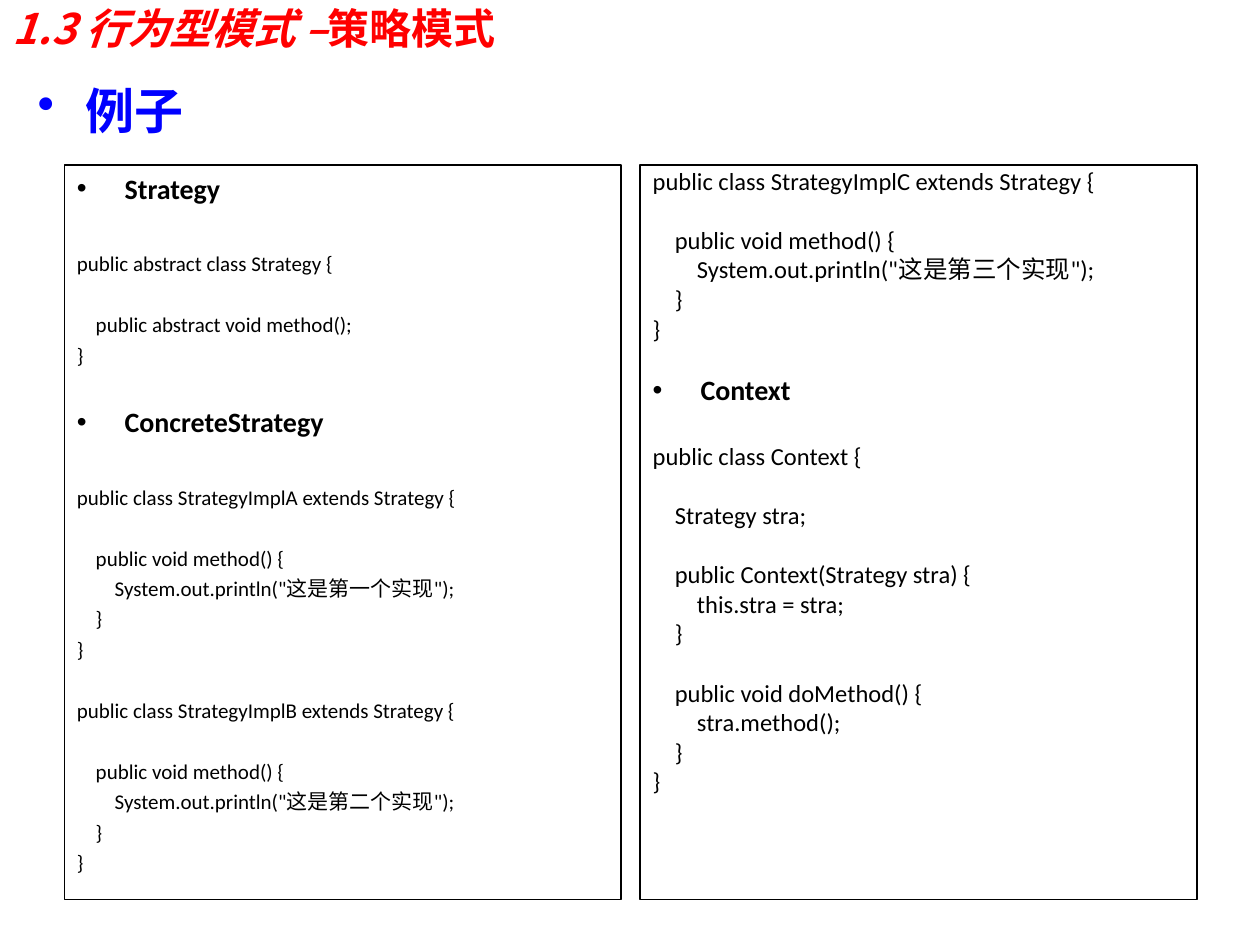
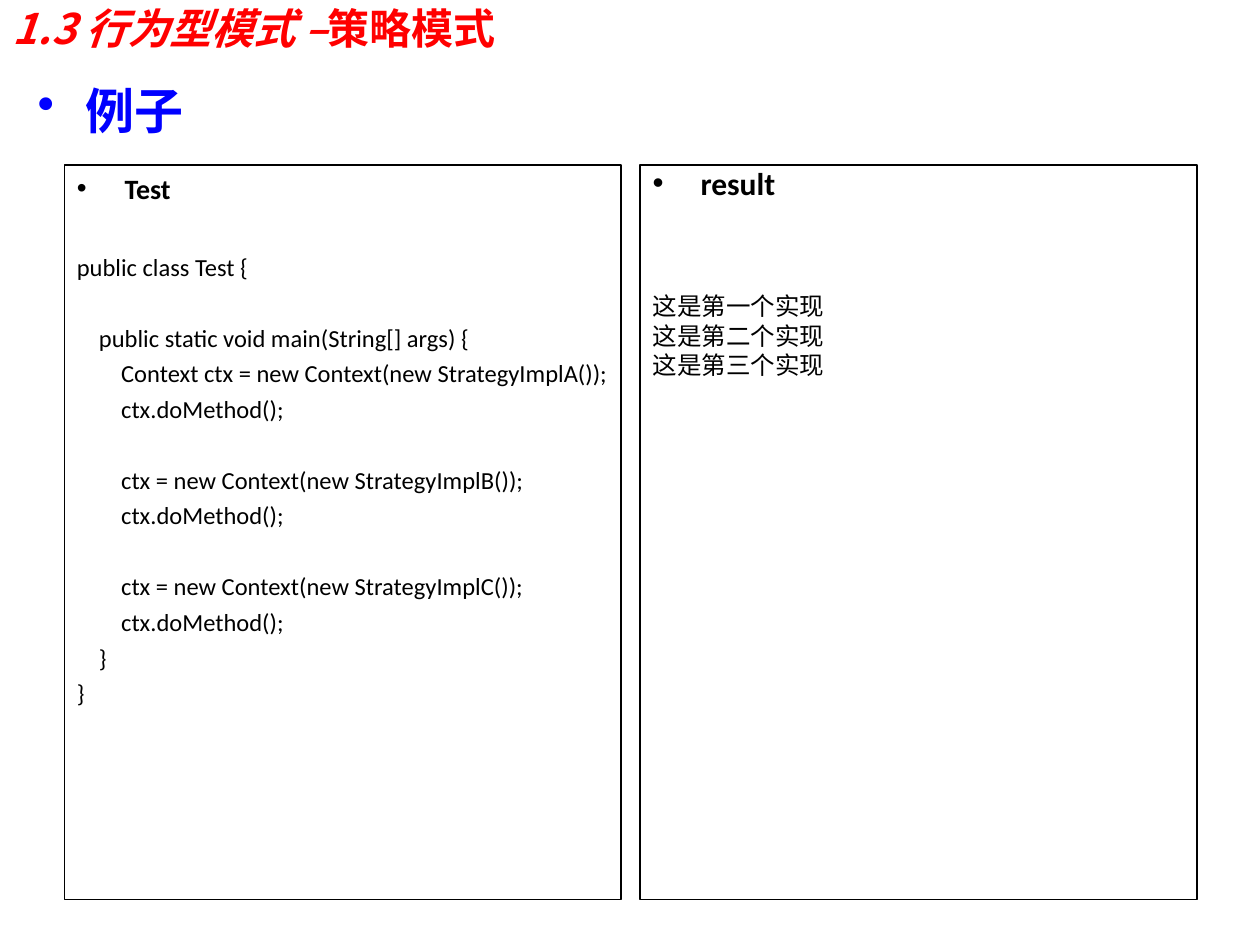
from dataclasses import dataclass

from lxml.etree import SubElement
from pptx import Presentation
from pptx.dml.color import RGBColor as Color
from pptx.enum.text import MSO_ANCHOR as Anchor, MSO_AUTO_SIZE as AutoSize, PP_ALIGN as Align
from pptx.oxml.ns import qn
from pptx.util import Pt

PX = 9144  # EMU in one px, 100 px to the inch


@dataclass(frozen=True)
class Theme:
    title_color: str = "FF0000"
    topic_color: str = "0000FF"
    text_color: str = "000000"
    font: str = "Calibri"
    cjk_font: str = "Noto Sans CJK SC"
    title_size: int = 24
    topic_size: int = 28
    heading_size: int = 16
    result_size: int = 18
    code_size: int = 14
    small_code_size: int = 12
    line_factor: float = 1.2
    before_factor: float = 0.25
    hanging: int = 38
    border: float = 0.75


theme = Theme()


def write(paragraph, text, *, size, color=theme.text_color, font=theme.font,
          bold=False, italic=False, bullet=False, hanging=0, before=0, spacing=1.0):
    """Append a formatted run and set the format of its paragraph."""
    properties = paragraph._p.get_or_add_pPr()
    if hanging:
        properties.set("marL", str(hanging * PX))
        properties.set("indent", str(-hanging * PX))
        if bullet:
            bullet_color = SubElement(properties, qn("a:buClr"))
            SubElement(bullet_color, qn("a:srgbClr"), val=color)
            SubElement(properties, qn("a:buChar"), char="•")
        else:
            SubElement(properties, qn("a:buNone"))
    paragraph.alignment = Align.LEFT
    paragraph.line_spacing = spacing
    paragraph.space_before = Pt(before)
    paragraph.space_after = Pt(0)
    run = paragraph.add_run()
    run.text = text
    run.font.size = Pt(size)
    run.font.bold = bold
    run.font.italic = italic
    run.font.color.rgb = Color.from_string(color)
    run.font.name = font
    SubElement(run._r.get_or_add_rPr(), qn("a:ea"), typeface=theme.cjk_font)


# Panel texts: "# " starts a heading, an empty line becomes space before the next one
STRATEGIES = '''# Strategy

public abstract class Strategy {

    public abstract void method();
}

# ConcreteStrategy

public class StrategyImplA extends Strategy {

    public void method() {
        System.out.println("这是第一个实现");
    }
}

public class StrategyImplB extends Strategy {

    public void method() {
        System.out.println("这是第二个实现");
    }
}'''

CONTEXT = '''public class StrategyImplC extends Strategy {

    public void method() {
        System.out.println("这是第三个实现");
    }
}

# Context

public class Context {

    Strategy stra;

    public Context(Strategy stra) {
        this.stra = stra;
    }

    public void doMethod() {
        stra.method();
    }
}'''

TEST = '''# Test

public class Test {

    public static void main(String[] args) {
        Context ctx = new Context(new StrategyImplA());
        ctx.doMethod();

        ctx = new Context(new StrategyImplB());
        ctx.doMethod();

        ctx = new Context(new StrategyImplC());
        ctx.doMethod();
    }
}'''

RESULT = '''# result



这是第一个实现
这是第二个实现
这是第三个实现'''

# Each panel: text, heading size, size of the gap below a heading, code size
slides = [
    [(STRATEGIES, theme.heading_size, theme.heading_size, theme.small_code_size),
     (CONTEXT, theme.heading_size, theme.heading_size, theme.code_size)],
    [(TEST, theme.heading_size, theme.heading_size, theme.code_size),
     (RESULT, theme.result_size, theme.code_size, theme.code_size)],
]
panel_columns = [(51, 1.0), (508, 0.8)]  # left edge, line spacing

presentation = Presentation()
presentation.slide_width, presentation.slide_height = 1000 * PX, 750 * PX
two_content = presentation.slide_layouts[3]

for panels in slides:
    slide = presentation.slides.add_slide(two_content)

    # Title
    title = slide.shapes.title
    title.left, title.top, title.width, title.height = 0, 0, 900 * PX, 44 * PX
    title.text_frame.auto_size = AutoSize.NONE
    title.text_frame.vertical_anchor = Anchor.MIDDLE
    title_style = dict(size=theme.title_size, color=theme.title_color, bold=True)
    title_paragraph = title.text_frame.paragraphs[0]
    write(title_paragraph, "1.3 行为型模式 –", font=theme.cjk_font, italic=True, **title_style)
    write(title_paragraph, "策略模式", **title_style)

    # Topic
    topic = slide.shapes.add_textbox(20 * PX, 68 * PX, 354 * PX, 104 * PX)
    topic.text_frame.word_wrap = True
    write(topic.text_frame.paragraphs[0], "例子", size=theme.topic_size,
          color=theme.topic_color, bold=True, bullet=True,
          hanging=theme.hanging, spacing=0.8)

    # Code panels
    for index, (panel, column) in enumerate(zip(panels, panel_columns), start=1):
        text, heading_size, gap_size, code_size = panel
        left, spacing = column
        box = slide.placeholders[index]
        box.left, box.top, box.width, box.height = left * PX, 131 * PX, 442 * PX, 583 * PX
        box.line.color.rgb = Color.from_string(theme.text_color)
        box.line.width = Pt(theme.border)
        frame = box.text_frame
        frame.auto_size = AutoSize.NONE

        gap, blank_size = 0, code_size
        for number, line in enumerate(text.split("\n")):
            if not line:
                gap += blank_size * (theme.line_factor * spacing + theme.before_factor)
                continue
            heading = line.startswith("# ")
            size = heading_size if heading else code_size
            paragraph = frame.add_paragraph() if number else frame.paragraphs[0]
            before = round(gap + size * theme.before_factor, 1) if number else 0
            write(paragraph, line.removeprefix("# "), size=size, bold=heading,
                  bullet=heading, hanging=theme.hanging, before=before, spacing=spacing)
            gap, blank_size = 0, gap_size if heading else code_size

presentation.save("out.pptx")
